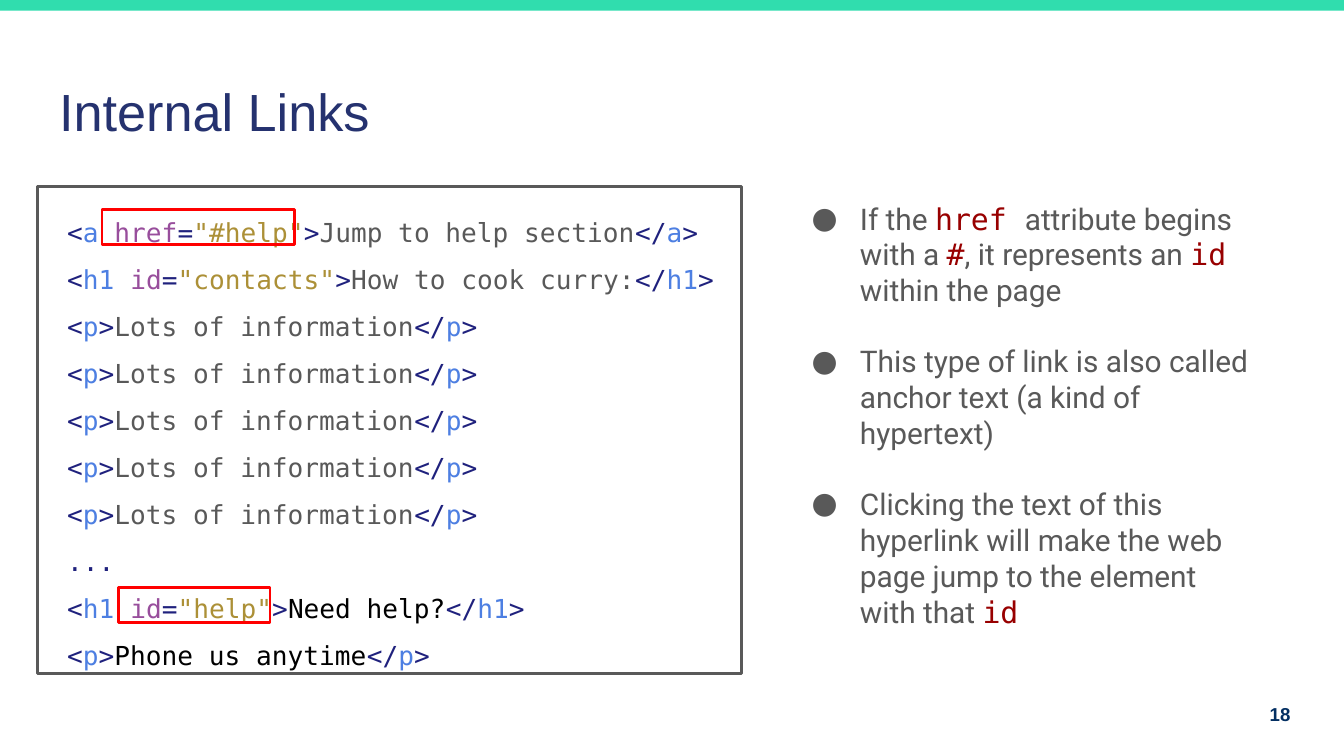
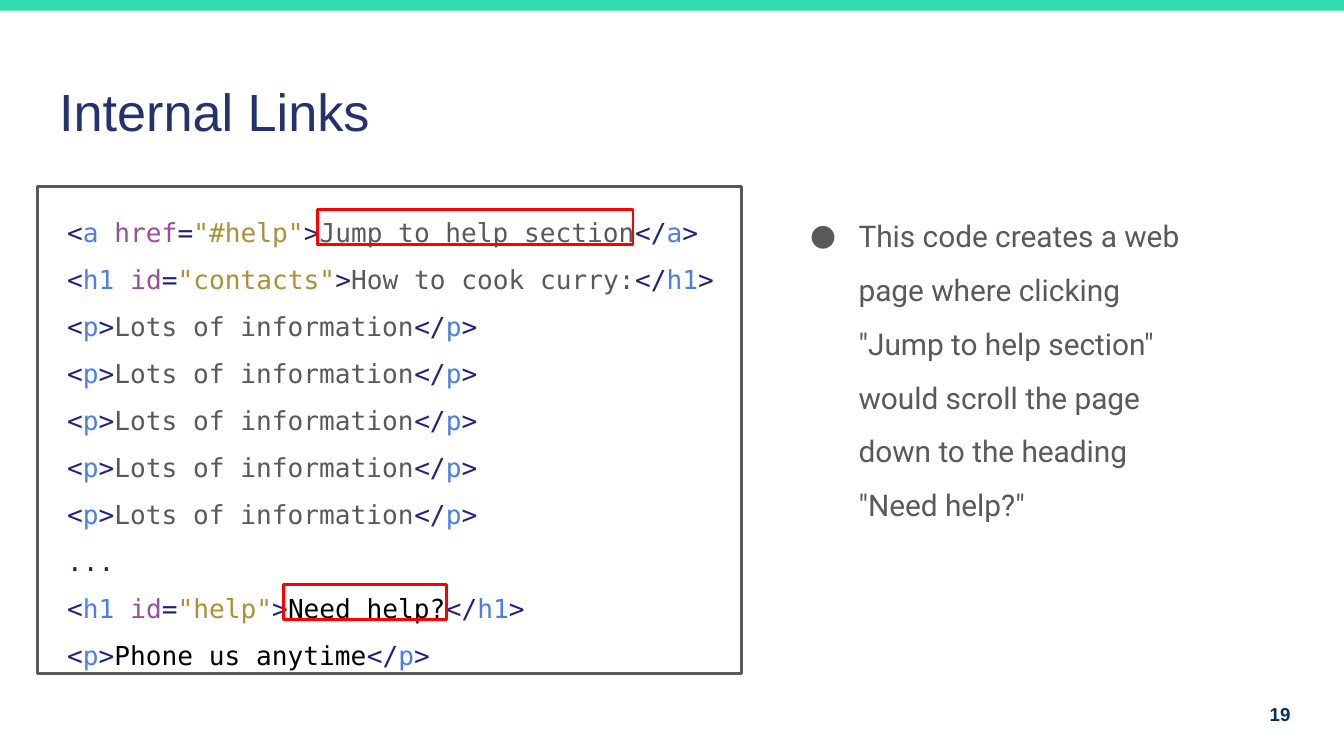
import lxml.etree
import pptx
import pptx.dml.color
import pptx.enum.shapes
import pptx.enum.text
import pptx.oxml.ns
import pptx.util

RGBColor = pptx.dml.color.RGBColor
Align = pptx.enum.text.PP_ALIGN
Anchor = pptx.enum.text.MSO_ANCHOR

TEAL = RGBColor(0x30, 0xDD, 0xAE)
TITLE_BLUE = RGBColor(0x25, 0x32, 0x6F)
NUMBER_BLUE = RGBColor(0x03, 0x2F, 0x62)
GREY = RGBColor(0x59, 0x59, 0x59)
BLACK = RGBColor(0x00, 0x00, 0x00)
RED = RGBColor(0xFF, 0x00, 0x00)
DARK_RED = RGBColor(0x98, 0x00, 0x00)
BRACKET_BLUE = RGBColor(0x1F, 0x21, 0x7D)
TAG_BLUE = RGBColor(0x4D, 0x7F, 0xE2)
ATTRIBUTE_PURPLE = RGBColor(0x98, 0x4E, 0x9C)
VALUE_GOLD = RGBColor(0xAC, 0x90, 0x37)

HEADING_FONT, BODY_FONT, CODE_FONT = "Arial", "Roboto", "DejaVu Sans Mono"
SLIDE_WIDTH = pptx.util.Inches(10)
SLIDE_HEIGHT = pptx.util.Inches(5.625)
COLUMNS, ROWS = 100, 56.25


def code_line(tag, text, text_color=GREY, attribute=None, value=None):
    """Return one HTML element as coloured (text, colour) runs."""
    runs = [("<", BRACKET_BLUE), (tag + (" " if attribute else ""), TAG_BLUE)]
    if attribute:
        runs += [(attribute, ATTRIBUTE_PURPLE), ("=", BRACKET_BLUE),
                 (f'"{value}"', VALUE_GOLD)]
    return runs + [(">", BRACKET_BLUE), (text, text_color),
                   ("</", BRACKET_BLUE), (tag, TAG_BLUE), (">", BRACKET_BLUE)]


CODE_LINES = [
    code_line("a", "Jump to help section", GREY, "href", "#help"),
    code_line("h1", "How to cook curry:", GREY, "id", "contacts"),
    *[code_line("p", "Lots of information")] * 5,
    [("...", BRACKET_BLUE)],
    code_line("h1", "Need help?", BLACK, "id", "help"),
    code_line("p", "Phone us anytime", BLACK),
]


class Deck:
    def __init__(self):
        self.presentation = pptx.Presentation()
        self.presentation.slide_width = SLIDE_WIDTH
        self.presentation.slide_height = SLIDE_HEIGHT
        self.slide = None

    def grid(self, left, top, width, height):
        """Turn columns and rows into slide lengths."""
        column, row = SLIDE_WIDTH / COLUMNS, SLIDE_HEIGHT / ROWS
        return (round(left * column), round(top * row),
                round(width * column), round(height * row))

    def add_slide(self, title, number):
        self.slide = self.presentation.slides.add_slide(
            self.presentation.slide_layouts[5])
        self.title(title)
        self.rectangle((-0.1, 0, 100.2, 0.8), fill=TEAL)
        self.page_number(number)

    def frame(self, shape, anchor=Anchor.TOP):
        """Give a shape's text the shared insets and return its frame."""
        frame = shape.text_frame
        frame.word_wrap = True
        frame.auto_size = pptx.enum.text.MSO_AUTO_SIZE.NONE
        frame.vertical_anchor = anchor
        frame.margin_left = frame.margin_right = pptx.util.Inches(0.1)
        frame.margin_top = frame.margin_bottom = pptx.util.Inches(0.1)
        return frame

    def paragraph(self, frame, index, align=Align.LEFT):
        paragraph = frame.add_paragraph() if index else frame.paragraphs[0]
        paragraph.alignment = align
        return paragraph

    def run(self, paragraph, text, font, size, color, bold=False):
        run = paragraph.add_run()
        run.text = text
        run.font.name = font
        run.font.size = pptx.util.Pt(size)
        run.font.bold = bold
        run.font.color.rgb = color

    def title(self, text):
        shape = self.slide.shapes.title
        shape.left, shape.top, shape.width, shape.height = self.grid(3.4, 4.9, 93.2, 6.3)
        paragraph = self.paragraph(self.frame(shape), 0)
        self.run(paragraph, text, HEADING_FONT, 28, TITLE_BLUE)

    def text_box(self, area, anchor=Anchor.TOP):
        return self.frame(self.slide.shapes.add_textbox(*self.grid(*area)), anchor)

    def page_number(self, number):
        frame = self.text_box((91, 51, 6, 4.3), Anchor.MIDDLE)
        paragraph = self.paragraph(frame, 0, Align.RIGHT)
        self.run(paragraph, str(number), HEADING_FONT, 10, NUMBER_BLUE, bold=True)

    def rectangle(self, area, fill=None, line=None):
        shape = self.slide.shapes.add_shape(
            pptx.enum.shapes.MSO_SHAPE.RECTANGLE, *self.grid(*area))
        shape.shadow.inherit = False
        if fill is None:
            shape.fill.background()
        else:
            shape.fill.solid()
            shape.fill.fore_color.rgb = fill
        if line is None:
            shape.line.fill.background()
        else:
            shape.line.color.rgb = line
            shape.line.width = pptx.util.Pt(1.5)
        return shape

    def code(self, lines):
        frame = self.frame(self.rectangle((2.8, 13.9, 52.4, 36.2), line=GREY))
        frame.margin_left = pptx.util.Inches(0.22)
        for index, runs in enumerate(lines):
            paragraph = self.paragraph(frame, index)
            paragraph.line_spacing = 1.5
            for text, color in runs:
                self.run(paragraph, text, CODE_FONT, 14, color)

    def highlight(self, area):
        self.rectangle(area, line=RED)

    def bullets(self, area, items, line_spacing=1.0):
        """Each item alternates plain text and code words, plain text first."""
        frame = self.text_box(area)
        for index, parts in enumerate(items):
            paragraph = self.paragraph(frame, index)
            paragraph.line_spacing = line_spacing
            if index < len(items) - 1:
                paragraph.space_after = pptx.util.Pt(19)
            self.bullet(paragraph)
            for position, text in enumerate(parts):
                font, color = (CODE_FONT, DARK_RED) if position % 2 else (BODY_FONT, GREY)
                self.run(paragraph, text, font, 16, color)

    def bullet(self, paragraph):
        qn = pptx.oxml.ns.qn
        properties = paragraph._p.get_or_add_pPr()
        properties.set("marL", str(pptx.util.Inches(0.5)))
        properties.set("indent", str(pptx.util.Inches(-0.36)))
        color = lxml.etree.SubElement(properties, qn("a:buClr"))
        lxml.etree.SubElement(color, qn("a:srgbClr"), val=str(GREY))
        lxml.etree.SubElement(properties, qn("a:buFont"), typeface=BODY_FONT)
        lxml.etree.SubElement(properties, qn("a:buChar"), char="●")


def main():
    deck = Deck()

    deck.add_slide("Internal Links", 18)
    deck.code(CODE_LINES)
    deck.bullets((58, 13.9, 35.9, 27.3), [
        ["If the ", "href ", "attribute begins with a ", "#",
         ", it represents an ", "id", " within the page"],
        ["This type of link is also called anchor text (a kind of hypertext)"],
        ["Clicking the text of this hyperlink will make the web page jump "
         "to the element with that ", "id"],
    ])
    deck.highlight((7.6, 15.6, 14.3, 2.6))
    deck.highlight((8.8, 43.7, 11.3, 2.6))

    deck.add_slide("Internal Links", 19)
    deck.bullets((57.9, 13.9, 31.7, 26), [
        ['This code creates a web page where clicking "Jump to help section" '
         'would scroll the page down to the heading "Need help?"'],
    ], line_spacing=1.5)
    deck.code(CODE_LINES)
    deck.highlight((23.6, 15.6, 23.5, 2.6))
    deck.highlight((21.1, 43.5, 12.1, 2.6))

    deck.presentation.save("out.pptx")


if __name__ == "__main__":
    main()
